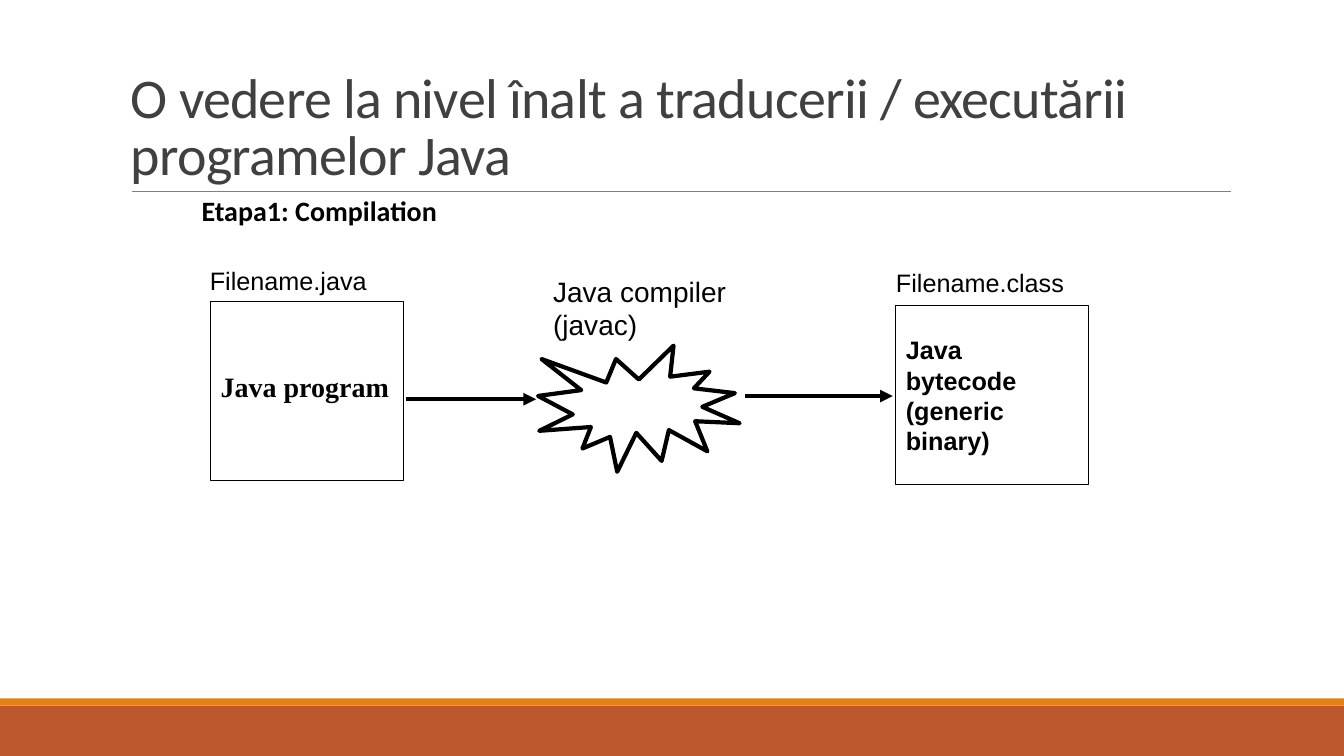
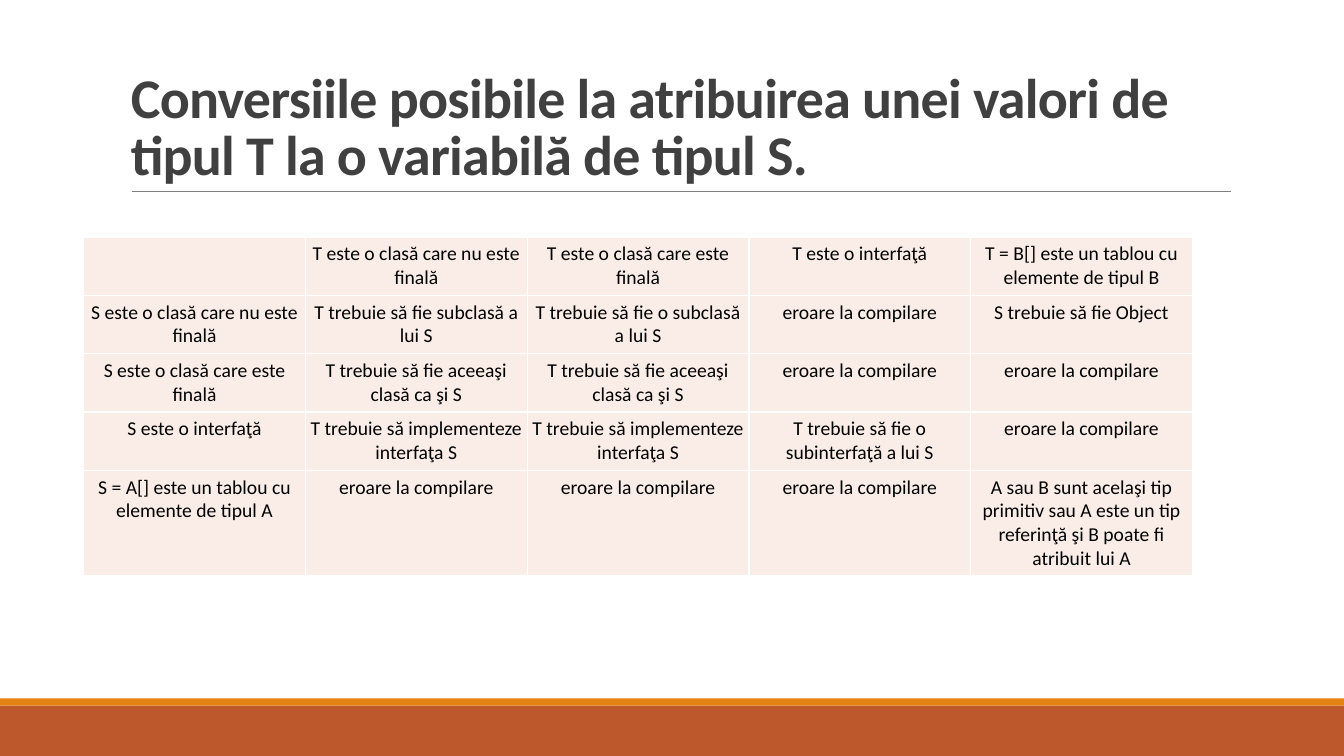
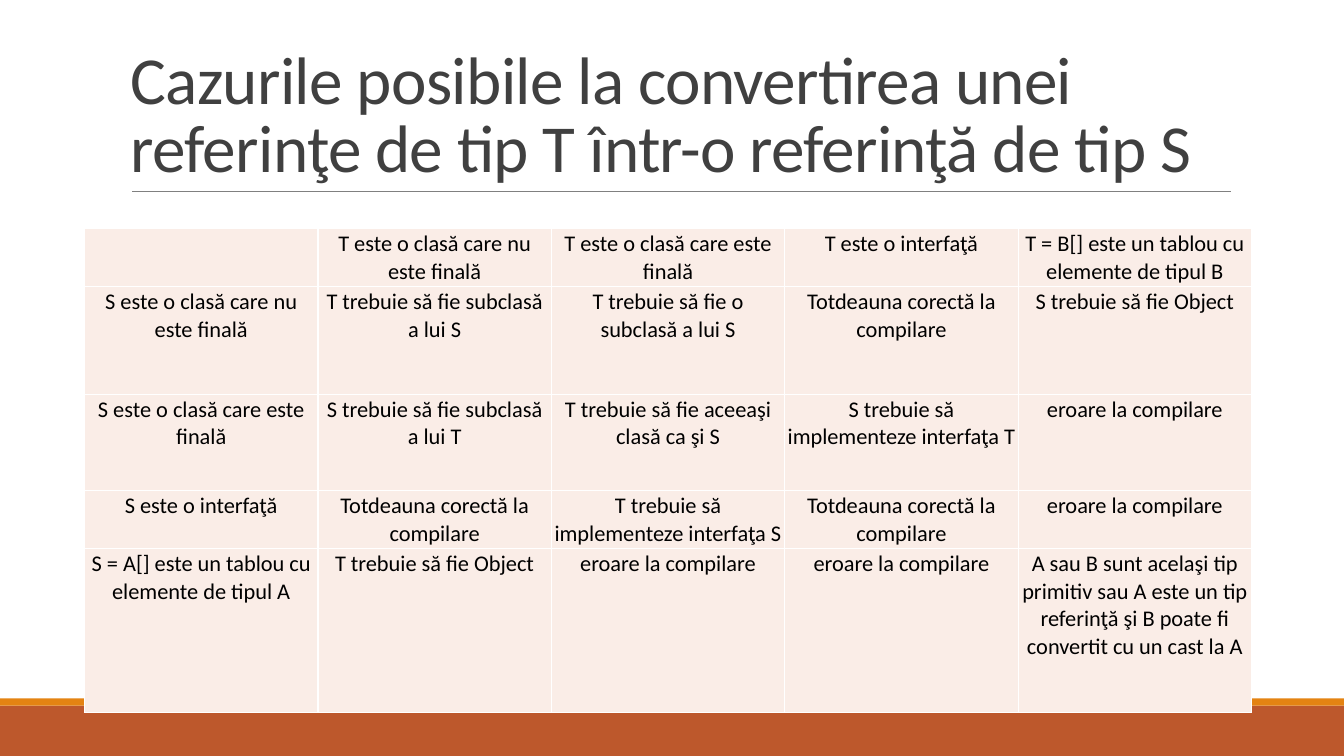
from dataclasses import dataclass

from lxml.etree import SubElement
from pptx import Presentation
from pptx.dml.color import RGBColor
from pptx.enum.shapes import MSO_CONNECTOR, MSO_SHAPE
from pptx.enum.text import MSO_ANCHOR, PP_ALIGN
from pptx.oxml.ns import qn
from pptx.util import Cm, Pt


@dataclass(frozen=True)
class Theme:
    ink: str = "000000"
    title: str = "404040"
    rule: str = "808080"
    rust: str = "BD582C"
    amber: str = "E48312"
    cell: str = "FAEDE7"
    border: str = "FFFFFF"
    heading_font: str = "Calibri"
    label_font: str = "Arial"
    program_font: str = "Times New Roman"
    large: int = 20
    label: int = 18


theme = Theme()


def write(frame, text, font, size, bold=False, color=theme.ink):
    frame.word_wrap = True
    para = frame.paragraphs[0]
    para.text = text
    para.font.name = font
    para.font.size = Pt(size)
    para.font.bold = bold
    para.font.color.rgb = RGBColor.from_string(color)
    return para


def draw_line(page, left, right, top, color, width, arrow=False):
    line = page.shapes.add_connector(
        MSO_CONNECTOR.STRAIGHT, Cm(left), Cm(top), Cm(right), Cm(top))
    line.line.color.rgb = RGBColor.from_string(color)
    line.line.width = Pt(width)
    if arrow:
        SubElement(line.line._get_or_add_ln(), qn("a:tailEnd"), type="triangle")
    SubElement(line._element.spPr, qn("a:effectLst"))


deck = Presentation()
deck.slide_width, deck.slide_height = Cm(33.87), Cm(19.05)

# Shared frame: bands, rule and title
titles = [
    ("O vedere la nivel înalt a traducerii / executării programelor Java", 40, False),
    ("Conversiile posibile la atribuirea unei valori de tipul T la o variabilă de tipul S.",
     40, True),
    ("Cazurile posibile la convertirea unei referinţe de tip T într-o referinţă de tip S",
     48, False),
]
for title, size, bold in titles:
    page = deck.slides.add_slide(deck.slide_layouts[6])
    for top, height, color in ((17.78, 1.27, theme.rust), (17.6, 0.18, theme.amber)):
        band = page.shapes.add_shape(
            MSO_SHAPE.RECTANGLE, 0, Cm(top), deck.slide_width, Cm(height))
        band.shadow.inherit = False
        band.fill.solid()
        band.fill.fore_color.rgb = RGBColor.from_string(color)
        band.line.fill.background()
    draw_line(page, 3.33, 31.01, 4.83, theme.rule, 0.5)
    box = page.shapes.add_textbox(Cm(3.05), Cm(0.79), Cm(27.94), Cm(4.04))
    box.text_frame.vertical_anchor = MSO_ANCHOR.BOTTOM
    para = write(box.text_frame, title, theme.heading_font, size, bold, theme.title)
    para.line_spacing = 0.85
    para.runs[0]._r.get_or_add_rPr().set("spc", "-50")

compilation, assignment, casting = deck.slides

# Compilation: source and bytecode boxes, compiler burst
outlines = [
    (MSO_SHAPE.EXPLOSION1, 13.56, 8.71, 5.08, 3.18, 3, None),
    (MSO_SHAPE.RECTANGLE, 5.31, 7.59, 4.85, 4.52, 0.75,
     ("Java program", theme.program_font, theme.large, 0.7)),
    (MSO_SHAPE.RECTANGLE, 22.58, 7.7, 4.85, 4.52, 0.75,
     ("Java bytecode (generic binary)", theme.label_font, theme.label, 1.0)),
]
for kind, left, top, width, height, weight, content in outlines:
    shape = compilation.shapes.add_shape(kind, Cm(left), Cm(top), Cm(width), Cm(height))
    shape.shadow.inherit = False
    shape.fill.background()
    shape.line.color.rgb = RGBColor.from_string(theme.ink)
    shape.line.width = Pt(weight)
    if content:
        text, font, size, spacing = content
        shape.text_frame.vertical_anchor = MSO_ANCHOR.MIDDLE
        para = write(shape.text_frame, text, font, size, True)
        para.alignment = PP_ALIGN.LEFT
        para.line_spacing = spacing

# Compilation: labels and arrows
labels = [
    ("Java compiler (javac)", 13.69, 6.78, 5.61, 1.96, 0.25, theme.label_font, theme.large, False),
    ("Filename.java", 5.29, 6.55, 5.46, 1.02, 0, theme.label_font, theme.label, False),
    ("Filename.class", 22.58, 6.6, 5.46, 1.02, 0, theme.label_font, theme.label, False),
    ("Etapa1: Compilation", 4.83, 4.75, 7.62, 1.09, 0.25, theme.heading_font, theme.large, True),
]
for text, left, top, width, height, inset, font, size, bold in labels:
    box = compilation.shapes.add_textbox(Cm(left), Cm(top), Cm(width), Cm(height))
    box.text_frame.margin_left = Cm(inset)
    write(box.text_frame, text, font, size, bold)
for left, right, top in ((10.24, 13.51, 10.06), (18.77, 22.5, 9.98)):
    draw_line(compilation, left, right, top, theme.ink, 3, arrow=True)

# Conversion tables: T across, S down
error = "eroare la compilare"
correct = "Totdeauna corectă la compilare"
subclass = "T trebuie să fie subclasă a lui S"
a_subclass = "T trebuie să fie o subclasă a lui S"
same_class = "T trebuie să fie aceeaşi clasă ca şi S"
implements = "T trebuie să implementeze interfaţa S"
is_object = "S trebuie să fie Object"
same_type = "A sau B sunt acelaşi tip primitiv sau A este un tip referinţă şi B poate fi "
column_heads = ["", "T este o clasă care nu este finală", "T este o clasă care este finală",
                "T este o interfaţă", "T = B[] este un tablou cu elemente de tipul B"]
row_heads = ["S este o clasă care nu este finală", "S este o clasă care este finală",
             "S este o interfaţă", "S = A[] este un tablou cu elemente de tipul A"]
assignment_rules = [
    [subclass, a_subclass, error, is_object],
    [same_class, same_class, error, error],
    [implements, implements, "T trebuie să fie o subinterfaţă a lui S", error],
    [error, error, error, same_type + "atribuit lui A"],
]
casting_rules = [
    [subclass, a_subclass, correct, is_object],
    ["S trebuie să fie subclasă a lui T", same_class,
     "S trebuie să implementeze interfaţa T", error],
    [correct, implements, correct, error],
    ["T trebuie să fie Object", error, error, same_type + "convertit cu un cast la A"],
]
tables = [
    (assignment, assignment_rules, 2.11, 5.97, 27.94, [1.47] * 4 + [2.65], 14, 0.13),
    (casting, casting_rules, 2.13, 5.76, 29.41, [1.45, 2.72, 2.42, 1.47, 4.12], 16, 0.05),
]
for page, rules, left, top, width, heights, size, inset in tables:
    rows = [column_heads] + [[head] + rule for head, rule in zip(row_heads, rules)]
    table = page.shapes.add_table(
        len(rows), len(column_heads), Cm(left), Cm(top), Cm(width), Cm(sum(heights))).table
    table.first_row = table.horz_banding = False
    for row, height, texts in zip(table.rows, heights, rows):
        row.height = Cm(height)
        for cell, text in zip(row.cells, texts):
            cell.margin_left = cell.margin_right = Cm(inset)
            cell.margin_top = cell.margin_bottom = Cm(inset)
            para = write(cell.text_frame, text, theme.heading_font, size)
            para.alignment = PP_ALIGN.CENTER
            for side in ("a:lnL", "a:lnR", "a:lnT", "a:lnB"):
                edge = SubElement(cell._tc.get_or_add_tcPr(), qn(side), w=str(Pt(1)))
                fill = SubElement(edge, qn("a:solidFill"))
                SubElement(fill, qn("a:srgbClr"), val=theme.border)
            cell.fill.solid()
            cell.fill.fore_color.rgb = RGBColor.from_string(theme.cell)

deck.save("out.pptx")
